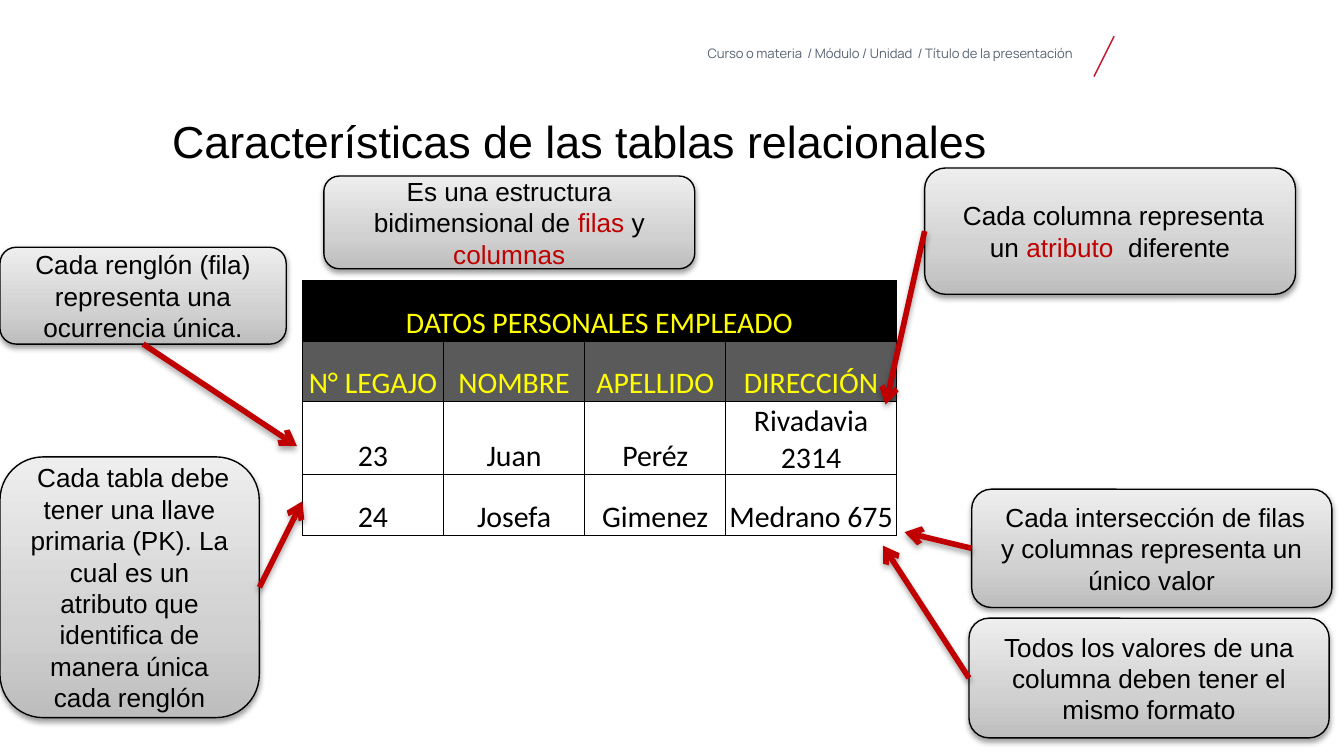
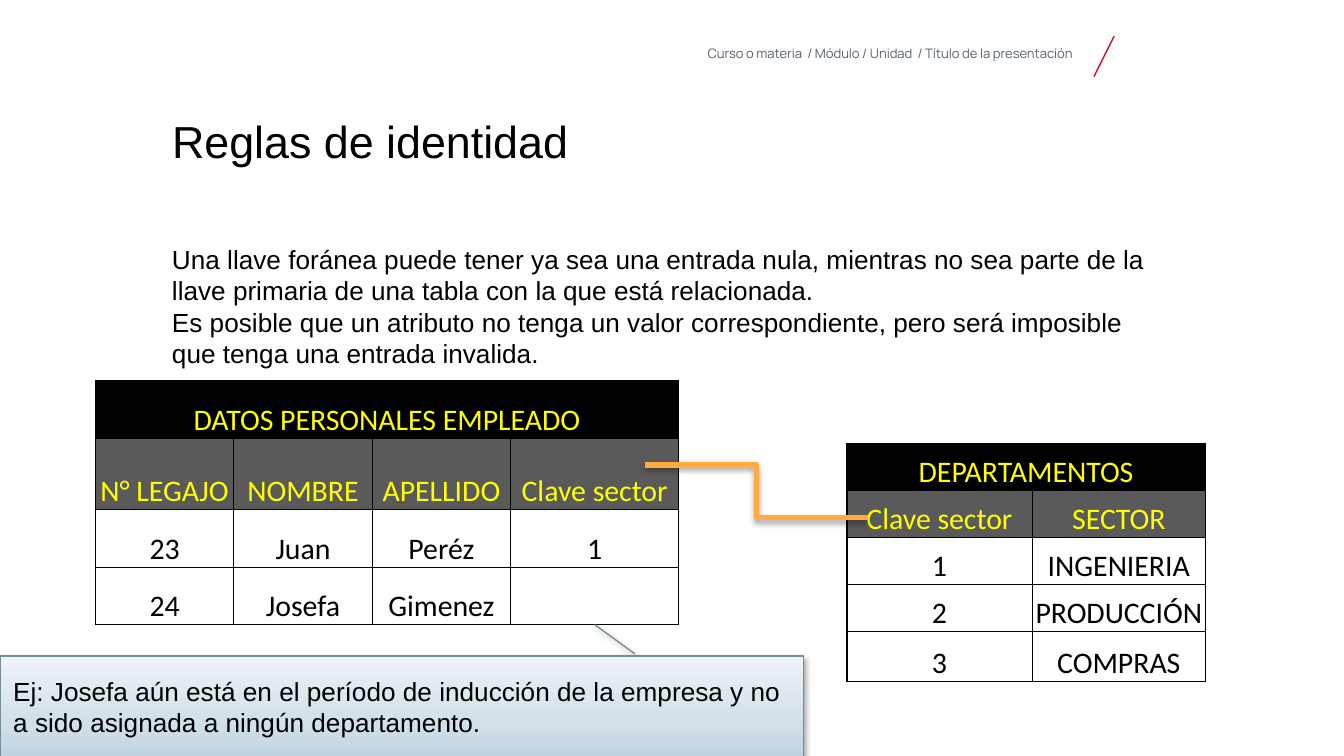
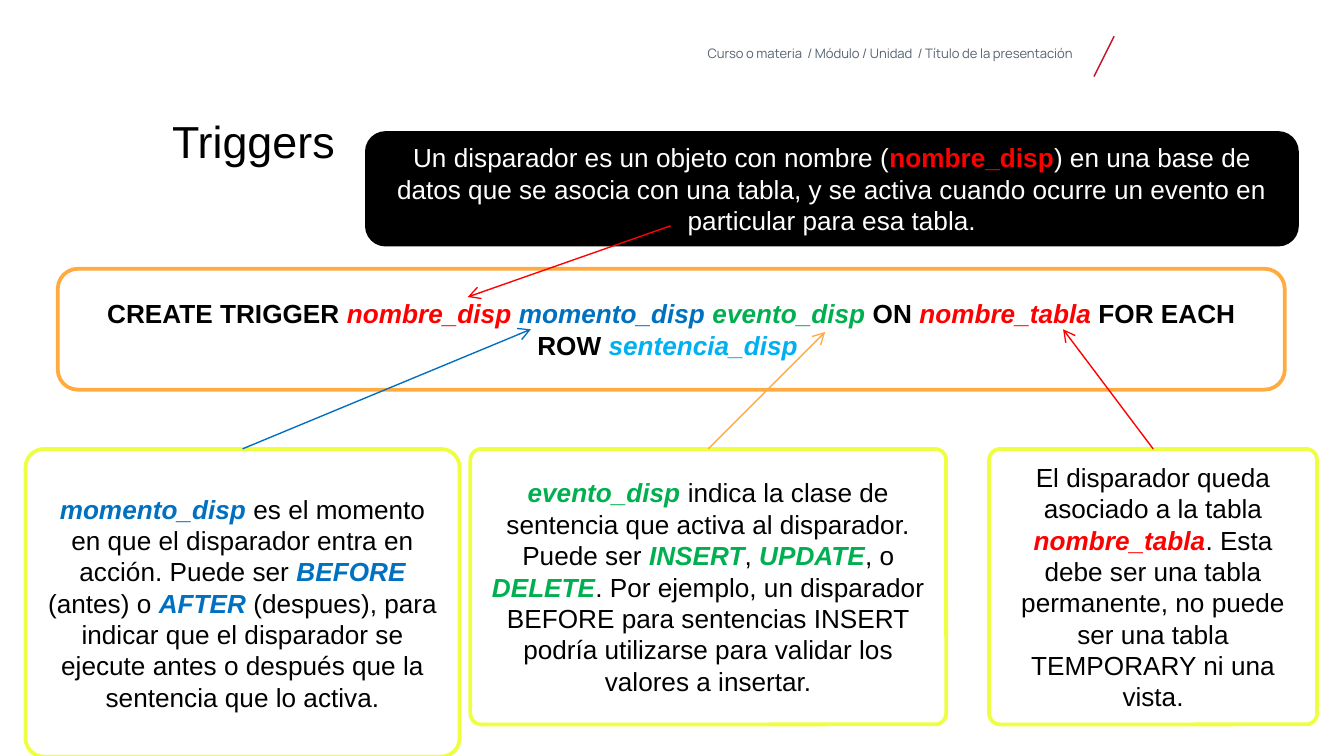
from lxml.etree import SubElement
from pptx import Presentation
from pptx.dml.color import RGBColor
from pptx.enum.shapes import MSO_CONNECTOR as Connector, MSO_SHAPE as Shape
from pptx.enum.text import MSO_ANCHOR as Anchor, PP_ALIGN as Align
from pptx.oxml.ns import qn
from pptx.util import Inches, Pt

COLORS = {
    "black": "000000", "white": "FFFFFF", "slate": "556271", "slash": "BC182C",
    "crimson": "C00000", "red": "FF0000", "blue": "0070C0", "green": "00B050",
    "sky": "00B0F0", "yellow": "FFFF00", "lime": "EEFF41", "orange": "FFAB40",
    "header": "5A5A5A", "steel": "748D99",
}
GRAY_GRADIENT = [(0, "BDBDBD"), (35, "D1D1D1"), (100, "EEEEEE")]
BLUE_GRADIENT = [(0, "C0D4E0"), (35, "D3E0E8"), (100, "EEF3F7")]
TOP, LEFT, BOTTOM, RIGHT = range(4)


def rgb(name):
    return RGBColor.from_string(COLORS[name])


def inches(values):
    return [Inches(value) for value in values]


def add_child(parent, tag, **attributes):
    return SubElement(parent, qn(tag), {key: str(value) for key, value in attributes.items()})


def write_text(frame, *paragraphs, size=14, font="Arial", color="black", bold=False,
               italic=False, align=Align.LEFT, spacing=None):
    """Each paragraph is a string or a list of runs; a run is a string or (string, overrides)."""
    for index, runs in enumerate(paragraphs):
        paragraph = frame.add_paragraph() if index else frame.paragraphs[0]
        paragraph.alignment = align
        if spacing:
            paragraph.line_spacing = spacing
        for item in [runs] if isinstance(runs, str) else runs:
            text, changes = (item, {}) if isinstance(item, str) else item
            style = {"color": color, "bold": bold, "italic": italic, **changes}
            run = paragraph.add_run()
            run.text = text
            run.font.size = Pt(size)
            run.font.name = font
            run.font.color.rgb = rgb(style["color"])
            run.font.bold = style["bold"]
            run.font.italic = style["italic"]


def tinted(text, color):
    return text, {"color": color}


def keyword(text, color):
    return text, {"color": color, "bold": True, "italic": True}


def add_text(slide, box, *paragraphs, **style):
    frame = slide.shapes.add_textbox(*inches(box)).text_frame
    frame.word_wrap = True
    frame.margin_left = frame.margin_right = frame.margin_top = frame.margin_bottom = 0
    write_text(frame, *paragraphs, **style)


def set_effects(item, shadow_alpha=None, distance=20000):
    """Replace the theme's effects by none, or by a soft shadow straight below."""
    effects = add_child(item._element.spPr, "a:effectLst")
    if shadow_alpha:
        shadow = add_child(effects, "a:outerShdw", blurRad=40000, dist=distance,
                           dir=5400000, rotWithShape=0)
        color = add_child(shadow, "a:srgbClr", val=COLORS["black"])
        add_child(color, "a:alpha", val=shadow_alpha * 1000)


def fill_gradient(shape, stops):
    shape.fill.gradient()
    shape.fill.gradient_angle = 90
    stop_list = shape._element.spPr.find(qn("a:gradFill")).find(qn("a:gsLst"))
    for stop in list(stop_list):
        stop_list.remove(stop)
    for position, color in stops:
        add_child(add_child(stop_list, "a:gs", pos=position * 1000), "a:srgbClr", val=color)


def add_box(slide, box, runs, kind=Shape.ROUNDED_RECTANGLE, adjustments=(), fill="white",
            gradient=None, line="black", width=2, align=Align.CENTER, color="black", bold=False):
    shape = slide.shapes.add_shape(kind, *inches(box))
    for index, value in enumerate(adjustments):
        shape.adjustments[index] = value
    if gradient:
        fill_gradient(shape, gradient)
    else:
        shape.fill.solid()
        shape.fill.fore_color.rgb = rgb(fill)
    shape.line.color.rgb = rgb(line)
    shape.line.width = Pt(width)
    set_effects(shape, 38 if gradient else None)
    shape.text_frame.word_wrap = True
    shape.text_frame.vertical_anchor = Anchor.MIDDLE
    write_text(shape.text_frame, runs, align=align, color=color, bold=bold)
    return shape


def add_line(slide, start, end, color, width=0.75, kind=Connector.STRAIGHT,
             arrow=False, shadow=False):
    """Draw from a point, or from a (shape, side) pair, to a point."""
    joined = not isinstance(start[0], (int, float))
    first = end if joined else start
    connector = slide.shapes.add_connector(kind, *inches((*first, *end)))
    if joined:
        connector.begin_connect(*start)
    connector.line.color.rgb = rgb(color)
    connector.line.width = Pt(width)
    if arrow:
        add_child(connector._element.spPr.find(qn("a:ln")), "a:tailEnd", type="arrow")
    set_effects(connector, 35 if shadow else None, 23000)


def set_borders(cell, widths):
    properties = cell._tc.get_or_add_tcPr()
    for side, width in zip("LRTB", widths):
        line = add_child(properties, f"a:ln{side}", w=Pt(width))
        add_child(add_child(line, "a:solidFill"), "a:srgbClr", val=COLORS["black"])


def add_data_table(slide, corner, widths, heights, rows, outer=0.5):
    """First row is a merged title, second row holds the column names."""
    frame = slide.shapes.add_table(len(heights), len(widths),
                                   *inches((*corner, sum(widths), sum(heights))))
    table = frame.table
    for column, width in zip(table.columns, widths):
        column.width = Inches(width)
    for row, height in zip(table.rows, heights):
        row.height = Inches(height)
    table.cell(0, 0).merge(table.cell(0, len(widths) - 1))
    last_row, last_column = len(heights) - 1, len(widths) - 1
    for r, texts in enumerate(rows):
        for c in range(len(widths)):
            cell = table.cell(r, c)
            edges = (c == 0, r == 0 or c == last_column, r == 0, r == last_row)
            set_borders(cell, [outer if edge else 0.5 for edge in edges])
            cell.fill.solid()
            cell.fill.fore_color.rgb = rgb({0: "black", 1: "header"}.get(r, "white"))
            cell.vertical_anchor = Anchor.BOTTOM
            cell.margin_left = cell.margin_right = cell.margin_top = Inches(0.01)
            cell.margin_bottom = 0
            if c < len(texts) and texts[c]:
                write_text(cell.text_frame, texts[c], size=16, font="Calibri",
                           color="yellow" if r < 2 else "black", align=Align.CENTER)


def add_slide(presentation, title, title_width=7.25):
    slide = presentation.slides.add_slide(presentation.slide_layouts[6])
    add_text(slide, (4.95, 0.35, 3.05, 0.14),
             "Curso o materia  / Módulo / Unidad  / Título de la presentación ",
             size=7, font="Manrope", color="slate", align=Align.RIGHT, spacing=0.9)
    add_line(slide, (8.29, 0.27), (8.14, 0.57), "slash")
    add_text(slide, (1.28, 0.89, title_width, 0.83), title, size=24, spacing=0.9)
    return slide


def build_table_features(presentation):
    slide = add_slide(presentation, "Características de las tablas relacionales")
    add_data_table(slide, (2.25, 2.09), [1.05, 1.05, 1.05, 1.27], [0.45] * 4, [
        ["DATOS PERSONALES EMPLEADO"],
        ["N° LEGAJO", "NOMBRE", "APELLIDO", "DIRECCIÓN"],
        ["23", "Juan", "Peréz", "Rivadavia 2314"],
        ["24", "Josefa", "Gimenez", "Medrano 675"],
    ])
    callouts = [
        ((2.41, 1.31, 2.76, 0.69),
         ["Es una estructura bidimensional de ", tinted("filas ", "crimson"), "y ",
          tinted("columnas", "crimson")], None, None),
        ((0, 1.84, 2.13, 0.72), "Cada renglón (fila) representa una ocurrencia única.",
         BOTTOM, (2.21, 3.32)),
        ((6.88, 1.25, 2.76, 0.94),
         [" Cada columna representa un ", tinted("atributo", "crimson"), "  diferente"],
         LEFT, (6.59, 3.01)),
        ((7.21, 4.6, 2.68, 0.89),
         "Todos los valores de una columna deben tener el mismo formato", LEFT, (6.57, 4.06)),
        ((7.23, 3.64, 2.68, 0.88),
         " Cada intersección de filas y columnas representa un único valor", LEFT, (6.73, 3.96)),
        ((0, 3.4, 1.93, 1.94),
         " Cada tabla debe tener una llave primaria (PK). La cual es un atributo que "
         "identifica de manera única cada renglón", RIGHT, (2.25, 3.73)),
    ]
    for box, runs, side, target in callouts:
        callout = add_box(slide, box, runs, gradient=GRAY_GRADIENT, width=0.75)
        if target:
            add_line(slide, (callout, side), target, "crimson", 3, arrow=True, shadow=True)


def build_identity_rules(presentation):
    slide = add_slide(presentation, "Reglas de identidad")
    add_text(slide, (1.28, 1.81, 7.27, 3.55),
             "Una llave foránea puede tener ya sea una entrada nula, mientras no sea parte de la "
             "llave primaria de una tabla con la que está relacionada.",
             "Es posible que un atributo no tenga un valor correspondiente, pero será imposible "
             "que tenga una entrada invalida.")
    add_data_table(slide, (0.71, 2.83), [1.03, 1.03, 1.03, 1.25], [0.43, 0.53, 0.43, 0.43], [
        ["DATOS PERSONALES EMPLEADO"],
        ["N° LEGAJO", "NOMBRE", "APELLIDO", "Clave sector"],
        ["23", "Juan", "Peréz", "1"],
        ["24", "Josefa", "Gimenez", ""],
    ])
    add_data_table(slide, (6.3, 3.3), [1.38, 1.29], [0.35] * 4 + [0.37], [
        ["DEPARTAMENTOS"],
        ["Clave sector", "SECTOR"],
        ["1", "INGENIERIA"],
        ["2", "PRODUCCIÓN"],
        ["3", "COMPRAS"],
    ], outer=1)
    add_box(slide, (0, 4.88, 5.98, 0.75),
            "Ej: Josefa aún está en el período de inducción de la empresa y no a sido asignada "
            "a ningún departamento.",
            kind=Shape.LINE_CALLOUT_1, adjustments=(-0.02, 0.79, -0.31, 0.74),
            gradient=BLUE_GRADIENT, line="steel", width=0.75, align=Align.LEFT)
    add_line(slide, (4.8, 3.46), (6.46, 3.85), "orange", 3, kind=Connector.ELBOW, shadow=True)


def build_triggers(presentation):
    slide = add_slide(presentation, "Triggers", title_width=5.31)
    add_box(slide, (2.73, 0.99, 6.92, 0.83), [
        "Un disparador es un objeto con nombre (",
        ("nombre_disp", {"color": "red", "bold": True}),
        ") en una base de datos que se asocia con una tabla, y se activa cuando ocurre un "
        "evento en particular para esa tabla.",
    ], fill="black", color="white")
    add_box(slide, (0.43, 2, 9.13, 0.9), [
        "CREATE TRIGGER ", keyword("nombre_disp ", "red"), keyword("momento_disp ", "blue"),
        keyword("evento_disp ", "green"), "ON ", keyword("nombre_tabla", "red"),
        " FOR EACH ROW ", keyword("sentencia_disp ", "sky"),
    ], line="orange", bold=True)
    add_line(slide, (4.99, 1.68), (3.48, 2.21), "red", arrow=True)
    explanations = [
        ((7.36, 3.34, 2.44, 2.05), 0.04, [
            "El disparador queda asociado a la tabla ", keyword("nombre_tabla", "red"),
            ". Esta debe ser una tabla permanente, no puede ser una tabla TEMPORARY ni una vista.",
        ], (7.91, 2.45), "red"),
        ((0.19, 3.34, 3.23, 2.29), 0.06, [
            keyword("momento_disp", "blue"),
            " es el momento en que el disparador entra en acción. Puede ser ",
            keyword("BEFORE", "blue"), " (antes) o ", keyword("AFTER", "blue"),
            " (despues), para indicar que el disparador se ejecute antes o después que la "
            "sentencia que lo activa.",
        ], (3.95, 2.45), "blue"),
        ((3.5, 3.34, 3.54, 2.05), 0.04, [
            keyword("evento_disp", "green"),
            " indica la clase de sentencia que activa al disparador. Puede ser ",
            keyword("INSERT", "green"), ", ", keyword("UPDATE", "green"), ", o ",
            keyword("DELETE", "green"),
            ". Por ejemplo, un disparador BEFORE para sentencias INSERT podría utilizarse para "
            "validar los valores a insertar.",
        ], (6.14, 2.47), "orange"),
    ]
    for box, corner, runs, target, color in explanations:
        explanation = add_box(slide, box, runs, adjustments=[corner], line="lime")
        add_line(slide, (explanation, TOP), target, color, arrow=True)


def main():
    presentation = Presentation()
    presentation.slide_width = Inches(10)
    presentation.slide_height = Inches(10 * 9 / 16)
    build_table_features(presentation)
    build_identity_rules(presentation)
    build_triggers(presentation)
    presentation.save("out.pptx")


if __name__ == "__main__":
    main()
